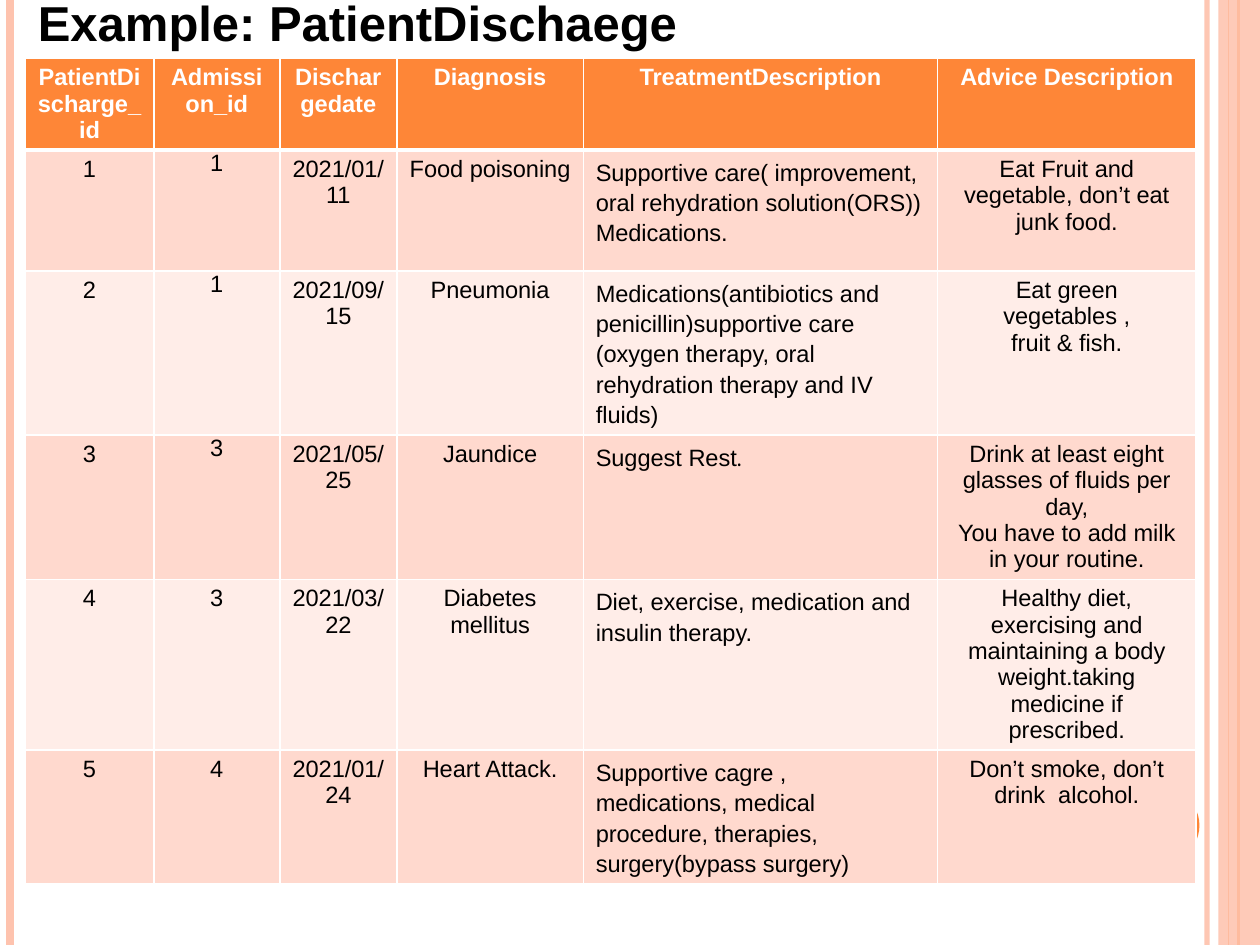
from dataclasses import dataclass

from lxml.etree import SubElement
from pptx import Presentation
from pptx.dml.color import RGBColor
from pptx.enum.shapes import MSO_CONNECTOR, MSO_SHAPE
from pptx.enum.text import MSO_ANCHOR, PP_ALIGN
from pptx.oxml.ns import qn
from pptx.util import Cm, Pt


@dataclass(frozen=True)
class Theme:
    accent: str = "FE8637"
    stripe: str = "FEC3AE"
    band_dark: str = "FFD9CE"
    band_light: str = "FFEDE8"
    white: str = "FFFFFF"
    black: str = "000000"
    font: str = "Arial"
    stop_font: str = "Cambria"
    title_size: float = 28
    table_size: float = 13.5


THEME = Theme()
SLIDE_W, SLIDE_H = 25.4, 19.05

# x position, colour, width in points, opacity in percent
RULES = [
    (24.33, THEME.stripe, 3, 93),
    (0.2, THEME.stripe, 4.5, 100),
    (24.97, THEME.accent, 1.5, 100),
    (24.77, THEME.accent, 0.75, 100),
]

COLUMN_WIDTHS = [2.59, 2.54, 2.36, 3.76, 7.14, 5.21]
ROW_HEIGHTS = [1.27, 2.44, 2.87, 2.87, 3.2, 2.59]
ADMISSION, TREATMENT = 1, 4
TIGHT_ROWS = (1, 2, 3)
JAUNDICE_ROW = 3

HEADERS = ["PatientDischarge_id", "Admission_id", "Dischargedate",
           "Diagnosis", "TreatmentDescription", "Advice Description"]
DISCHARGES = [
    ["1", "1", "2021/01/11", "Food poisoning",
     "Supportive care( improvement, oral rehydration solution(ORS))\nMedications.",
     "Eat Fruit and vegetable, don’t eat junk food."],
    ["2", "1", "2021/09/15", "Pneumonia",
     "Medications(antibiotics and penicillin)supportive care "
     "(oxygen therapy, oral rehydration therapy and IV fluids)",
     "Eat green vegetables ,\nfruit & fish."],
    ["3", "3", "2021/05/25", "Jaundice", "Suggest Rest",
     "Drink at least eight glasses of fluids per day,\n"
     "You have to add milk in your routine."],
    ["4", "3", "2021/03/22", "Diabetes mellitus",
     "Diet, exercise, medication and insulin therapy.",
     "Healthy diet, exercising and maintaining a body weight.taking "
     "medicine if prescribed."],
    ["5", "4", "2021/01/24", "Heart Attack.",
     "Supportive cagre , medications, medical procedure, therapies, "
     "surgery(bypass surgery)",
     "Don’t smoke, don’t drink  alcohol."],
]


def rgb(color):
    return RGBColor.from_string(color)


def set_opacity(element, percent):
    color = next(element.iter(qn("a:srgbClr")))
    SubElement(color, qn("a:alpha"), val=str(percent * 1000))


def format_run(r, size, color, bold=False, font=THEME.font):
    r.font.name = font
    r.font.size = Pt(size)
    r.font.bold = bold
    r.font.color.rgb = rgb(color)


def add_rule(slide, x, color, width, opacity):
    """Draw a vertical line over the full slide height."""
    line = slide.shapes.add_connector(
        MSO_CONNECTOR.STRAIGHT, Cm(x), Cm(0), Cm(x), Cm(SLIDE_H))
    line.line.color.rgb = rgb(color)
    line.line.width = Pt(width)
    sp_pr = line._element.spPr
    if opacity < 100:
        set_opacity(sp_pr, opacity)
    SubElement(sp_pr, qn("a:effectLst"))


def add_block(slide, kind, left, top, width, height, color):
    sp = slide.shapes.add_shape(kind, Cm(left), Cm(top), Cm(width), Cm(height))
    sp.shadow.inherit = False
    sp.fill.solid()
    sp.fill.fore_color.rgb = rgb(color)
    sp.line.fill.background()
    return sp


def add_decoration(slide):
    for rule in RULES:
        add_rule(slide, *rule)
    band = add_block(slide, MSO_SHAPE.RECTANGLE, 24.56, 0, SLIDE_W - 24.56,
                     SLIDE_H, THEME.stripe)
    set_opacity(band._element.spPr, 87)
    add_block(slide, MSO_SHAPE.OVAL, 22.66, 15.88, 1.52, 1.52, THEME.accent)


def set_title(slide, text):
    title = slide.shapes.title
    title.left, title.top = Cm(0.51), Cm(-0.28)
    title.width, title.height = Cm(18.39), Cm(1.45)
    tf = title.text_frame
    tf.text = text
    tf.word_wrap = True
    tf.vertical_anchor = MSO_ANCHOR.TOP
    p = tf.paragraphs[0]
    p.alignment = PP_ALIGN.LEFT
    format_run(p.runs[0], THEME.title_size, THEME.black, bold=True)


def set_borders(cell, bottom, top):
    tc_pr = cell._tc.get_or_add_tcPr()
    for side, width in (("L", 1), ("R", 1), ("T", top), ("B", bottom)):
        ln = SubElement(tc_pr, qn(f"a:ln{side}"), w=str(Pt(width)))
        fill = SubElement(ln, qn("a:solidFill"))
        SubElement(fill, qn("a:srgbClr"), val=THEME.white)


def fill_cell(cell, row, col, text):
    header = row == 0
    set_borders(cell, bottom=3 if header else 1, top=3 if row == 1 else 1)
    cell.fill.solid()
    band = THEME.band_dark if row % 2 else THEME.band_light
    cell.fill.fore_color.rgb = rgb(THEME.accent if header else band)

    tight = col == ADMISSION and row in TIGHT_ROWS
    cell.margin_left = cell.margin_right = Cm(0.18 if tight else 0.25)
    cell.margin_top = cell.margin_bottom = Cm(0 if tight else 0.13)

    cell.text_frame.text = text
    for p in cell.text_frame.paragraphs:
        if col == TREATMENT and not header:
            p.alignment = PP_ALIGN.LEFT
            p.line_spacing = 1.15
        else:
            p.alignment = PP_ALIGN.CENTER
        format_run(p.runs[0], THEME.table_size,
                   THEME.white if header else THEME.black, bold=header)


def add_discharge_table(slide):
    rows = [HEADERS] + DISCHARGES
    table = slide.shapes.add_table(
        len(rows), len(HEADERS), Cm(0.51), Cm(1.17),
        Cm(sum(COLUMN_WIDTHS)), Cm(sum(ROW_HEIGHTS))).table
    for column, width in zip(table.columns, COLUMN_WIDTHS):
        column.width = Cm(width)
    for row, height in zip(table.rows, ROW_HEIGHTS):
        row.height = Cm(height)
    for i, texts in enumerate(rows):
        for j, text in enumerate(texts):
            fill_cell(table.cell(i, j), i, j, text)

    stop = table.cell(JAUNDICE_ROW, TREATMENT).text_frame.paragraphs[0].add_run()
    stop.text = "."
    format_run(stop, THEME.table_size, THEME.black, font=THEME.stop_font)


def main():
    prs = Presentation()
    prs.slide_width, prs.slide_height = Cm(SLIDE_W), Cm(SLIDE_H)
    slide = prs.slides.add_slide(prs.slide_layouts[5])
    add_decoration(slide)
    add_discharge_table(slide)
    set_title(slide, "Example: PatientDischaege")
    prs.save("out.pptx")


if __name__ == "__main__":
    main()
